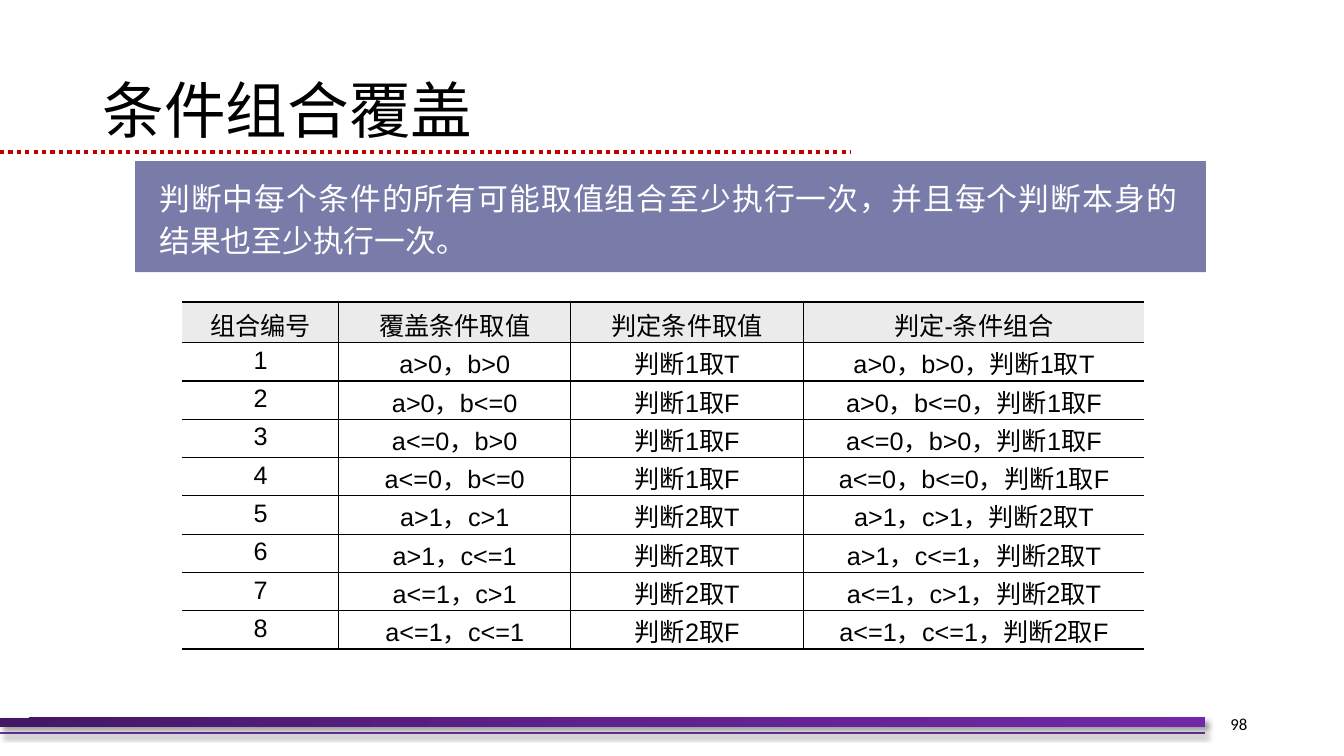
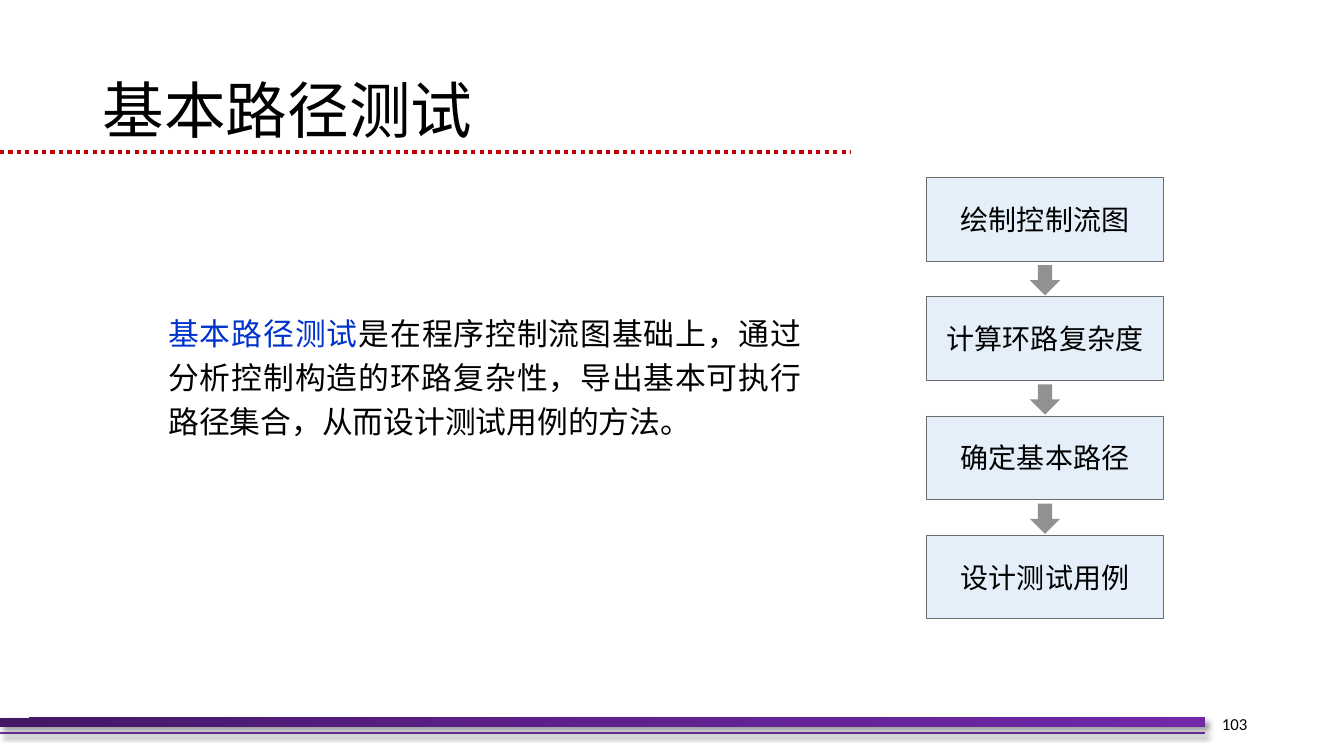
import dataclasses

import lxml.etree
import pptx
import pptx.dml.color
import pptx.enum.dml
import pptx.enum.shapes
import pptx.enum.text
import pptx.oxml
import pptx.oxml.ns
import pptx.util

Inches = pptx.util.Inches
Pt = pptx.util.Pt
Align = pptx.enum.text.PP_ALIGN
Anchor = pptx.enum.text.MSO_ANCHOR
Preset = pptx.enum.shapes.MSO_SHAPE
qn = pptx.oxml.ns.qn


@dataclasses.dataclass(frozen=True)
class Theme:
    black: str = "000000"
    white: str = "FFFFFF"
    title_rule: str = "C00000"
    footer_rule: str = "7030A0"
    footer_stops: tuple = ((0, "431764"), (50, "5F218E"), (100, "7128A8"))
    banner: str = "797BA9"
    header: str = "ECEBEB"
    keyword: str = "0033CC"
    step_fill: str = "E4EFF9"
    step_line: str = "6C6C6C"
    arrow: str = "919191"
    cjk_font: str = "Noto Sans CJK SC"
    table_font: str = "Arial"
    number_font: str = "Calibri"
    title_size: float = 44
    body_size: float = 22
    step_size: float = 20
    table_size: float = 18
    number_size: float = 12


THEME = Theme()

HEADERS = ("组合编号", "覆盖条件取值", "判定条件取值", "判定-条件组合")
COMBINATIONS = (
    ("a>0，b>0", "判断1取T"),
    ("a>0，b<=0", "判断1取F"),
    ("a<=0，b>0", "判断1取F"),
    ("a<=0，b<=0", "判断1取F"),
    ("a>1，c>1", "判断2取T"),
    ("a>1，c<=1", "判断2取T"),
    ("a<=1，c>1", "判断2取T"),
    ("a<=1，c<=1", "判断2取F"),
)
STEPS = ("绘制控制流图", "计算环路复杂度", "确定基本路径", "设计测试用例")


def rgb(color):
    return pptx.dml.color.RGBColor.from_string(color)


def add_span(para, text, *, size, font=THEME.cjk_font, color=THEME.black, spacing=0):
    """Add a run; East Asian characters always use the CJK font."""
    span = para.add_run()
    span.text = text
    span.font.size = Pt(size)
    span.font.name = font
    span.font.color.rgb = rgb(color)
    properties = span.font._element
    lxml.etree.SubElement(properties, qn("a:ea"), typeface=THEME.cjk_font)
    if spacing:
        properties.set("spc", str(round(spacing * 100)))


def prepare_frame(frame, *, insets=(0, 0, 0, 0), anchor=Anchor.TOP,
                  align=Align.LEFT, line_spacing=None):
    """Set up a text frame and return its first paragraph."""
    frame.word_wrap = True
    (frame.margin_left, frame.margin_top,
     frame.margin_right, frame.margin_bottom) = map(Inches, insets)
    frame.vertical_anchor = anchor
    para = frame.paragraphs[0]
    para.alignment = align
    if line_spacing:
        para.line_spacing = line_spacing
    return para


def add_text_box(page, left, top, width, height, **frame_format):
    box = page.shapes.add_textbox(*map(Inches, (left, top, width, height)))
    return prepare_frame(box.text_frame, **frame_format)


def add_block(page, preset, left, top, width, height, *, fill=None, line=None):
    block = page.shapes.add_shape(preset, *map(Inches, (left, top, width, height)))
    block.shadow.inherit = False
    if fill:
        block.fill.solid()
        block.fill.fore_color.rgb = rgb(fill)
    if line:
        block.line.color.rgb = rgb(line)
        block.line.width = Pt(0.5)
    else:
        block.line.fill.background()
    return block


def add_rule(page, top, width, *, color, weight, dash=None):
    """Draw a horizontal line from the left edge and return its effect list."""
    rule = page.shapes.add_connector(
        pptx.enum.shapes.MSO_CONNECTOR.STRAIGHT,
        Inches(0), Inches(top), Inches(width), Inches(top))
    rule.line.color.rgb = rgb(color)
    rule.line.width = Pt(weight)
    if dash:
        rule.line.dash_style = dash
    return lxml.etree.SubElement(rule._element.spPr, qn("a:effectLst"))


def add_shadow(effects):
    shadow = lxml.etree.SubElement(
        effects, qn("a:outerShdw"), blurRad=str(Pt(4)), dist=str(Pt(3)),
        dir=str(45 * 60000), algn="tl", rotWithShape="0")
    color = lxml.etree.SubElement(shadow, qn("a:srgbClr"), val=THEME.black)
    lxml.etree.SubElement(color, qn("a:alpha"), val="40000")


def fill_gradient(block, stops, angle):
    gradient = lxml.etree.Element(qn("a:gradFill"), rotWithShape="1")
    stop_list = lxml.etree.SubElement(gradient, qn("a:gsLst"))
    for position, color in stops:
        stop = lxml.etree.SubElement(stop_list, qn("a:gs"), pos=str(position * 1000))
        lxml.etree.SubElement(stop, qn("a:srgbClr"), val=color)
    lxml.etree.SubElement(gradient, qn("a:lin"), ang=str(angle * 60000), scaled="0")
    block._element.spPr.find(qn("a:prstGeom")).addnext(gradient)


def add_page(deck, title, number):
    """Add a blank page with the shared title, rules, footer band and number."""
    page = deck.slides.add_slide(deck.slide_layouts[6])
    add_shadow(add_rule(page, 7.27, 11.95, color=THEME.footer_rule, weight=1.5))
    band = add_block(page, Preset.RECTANGLE, 0, 7.12, 11.95, 0.09)
    fill_gradient(band, THEME.footer_stops, 45)
    add_shadow(band._element.spPr.find(qn("a:effectLst")))
    add_rule(page, 1.51, 8.44, color=THEME.title_rule, weight=3,
             dash=pptx.enum.dml.MSO_LINE.ROUND_DOT)
    para = add_text_box(page, 0.92, 0.4, 11.5, 1.45, insets=(0.1, 0.05, 0.1, 0.05),
                        anchor=Anchor.MIDDLE, line_spacing=0.9)
    add_span(para, title, size=THEME.title_size)
    para = add_text_box(page, 11.38, 6.98, 1.09, 0.4, insets=(0.1, 0.05, 0.1, 0.05),
                        anchor=Anchor.MIDDLE, align=Align.RIGHT)
    add_span(para, str(number), size=THEME.number_size, font=THEME.number_font)
    return page


def set_borders(cell, **weights):
    """Give each named side (L, R, T, B) a weight in points; 0 hides it."""
    properties = cell._tc.get_or_add_tcPr()
    for side, weight in weights.items():
        border = lxml.etree.SubElement(properties, qn(f"a:ln{side}"), w=str(Pt(weight)))
        if weight:
            fill = lxml.etree.SubElement(border, qn("a:solidFill"))
            lxml.etree.SubElement(fill, qn("a:srgbClr"), val=THEME.black)
        else:
            lxml.etree.SubElement(border, qn("a:noFill"))


def add_combination_table(page):
    rows = [HEADERS] + [
        (str(number), condition, decision, f"{condition}，{decision}")
        for number, (condition, decision) in enumerate(COMBINATIONS, 1)]
    widths = (1.55, 2.3, 2.31, 3.38)
    heights = [0.4] + [0.38] * len(COMBINATIONS)
    table = page.shapes.add_table(
        len(rows), len(widths), Inches(1.81), Inches(3),
        Inches(sum(widths)), Inches(sum(heights))).table
    table.first_row = table.horz_banding = False
    for column, width in zip(table.columns, widths):
        column.width = Inches(width)
    last_row, last_column = len(rows) - 1, len(widths) - 1
    for row_index, (texts, height) in enumerate(zip(rows, heights)):
        table.rows[row_index].height = Inches(height)
        for column_index, text in enumerate(texts):
            cell = table.cell(row_index, column_index)
            set_borders(cell,
                        L=1 if column_index > 0 else 0,
                        R=1 if column_index < last_column else 0,
                        T=1 if row_index > 0 else 1.5,
                        B=1 if row_index < last_row else 1.5)
            if row_index == 0:
                cell.fill.solid()
                cell.fill.fore_color.rgb = rgb(THEME.header)
            else:
                cell.fill.background()
            is_number = row_index > 0 and column_index == 0
            cell.margin_left = cell.margin_right = cell.margin_bottom = 0
            cell.margin_top = Inches(0.04)
            cell.vertical_anchor = Anchor.TOP if is_number else Anchor.BOTTOM
            para = cell.text_frame.paragraphs[0]
            para.alignment = Align.CENTER
            para.line_spacing = Pt(20)
            add_span(para, text, size=THEME.table_size, font=THEME.table_font)


def add_banner(page):
    banner = add_block(page, Preset.RECTANGLE, 1.34, 1.6, 10.62, 1.1, fill=THEME.banner)
    para = prepare_frame(banner.text_frame, insets=(0.24, 0.13, 0.1, 0),
                         line_spacing=Pt(30))
    add_span(para, "判断中每个条件的所有可能取值组合至少执行一次，并且每个判断本身的",
             size=THEME.body_size, color=THEME.white, spacing=0.8)
    add_span(para, "结果也至少执行一次。", size=THEME.body_size, color=THEME.white)


def add_definition(page):
    para = add_text_box(page, 1.66, 3.02, 6.3, 1.33, insets=(0.01, 0.03, 0, 0),
                        align=Align.JUSTIFY, line_spacing=Pt(31.5))
    add_span(para, "基本路径测试", size=THEME.body_size, color=THEME.keyword, spacing=0.5)
    add_span(para, "是在程序控制流图基础上，通过分析控制构造的环路复杂性，导出基本可执行",
             size=THEME.body_size, spacing=0.5)
    add_span(para, "路径集合，从而设计测试用例的方法。", size=THEME.body_size)


def add_step_flow(page):
    left, first_top, last_top, width, height = 9.19, 1.76, 5.31, 2.35, 0.83
    arrow_size = 0.3
    pitch = (last_top - first_top) / (len(STEPS) - 1)
    for index, text in enumerate(STEPS):
        top = first_top + index * pitch
        step = add_block(page, Preset.RECTANGLE, left, top, width, height,
                         fill=THEME.step_fill, line=THEME.step_line)
        para = prepare_frame(step.text_frame, anchor=Anchor.MIDDLE, align=Align.CENTER)
        add_span(para, text, size=THEME.step_size)
        if index < len(STEPS) - 1:
            arrow = add_block(page, Preset.DOWN_ARROW, left + (width - arrow_size) / 2,
                              top + height + 0.04, arrow_size, arrow_size,
                              fill=THEME.arrow)
            arrow.adjustments[0] = 0.48
            arrow.adjustments[1] = 0.5


def main():
    deck = pptx.Presentation()
    deck.slide_width, deck.slide_height = Inches(13.33), Inches(7.5)

    page = add_page(deck, "条件组合覆盖", 98)
    add_banner(page)
    add_combination_table(page)

    page = add_page(deck, "基本路径测试", 103)
    add_definition(page)
    add_step_flow(page)

    deck.save("out.pptx")


if __name__ == "__main__":
    main()
